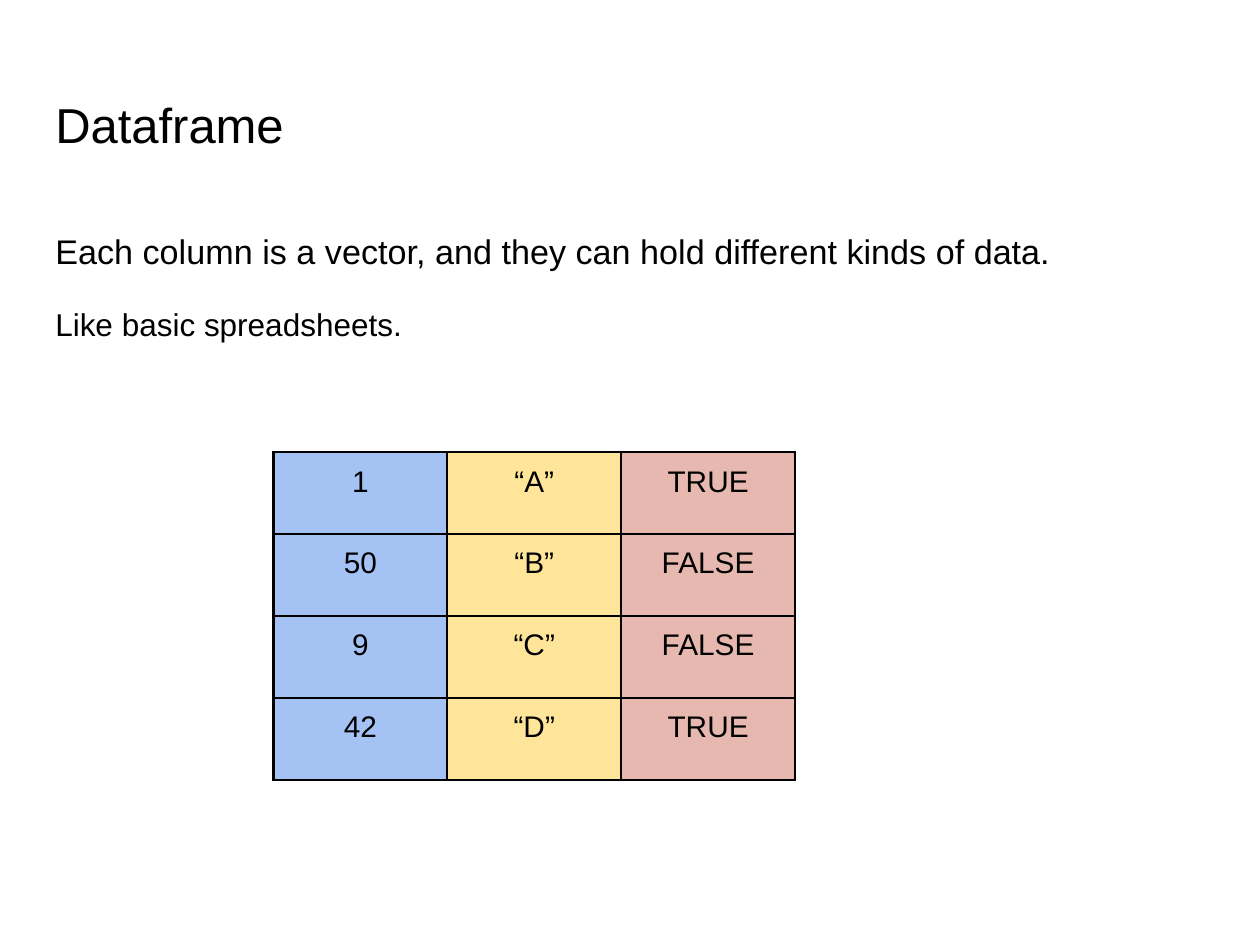
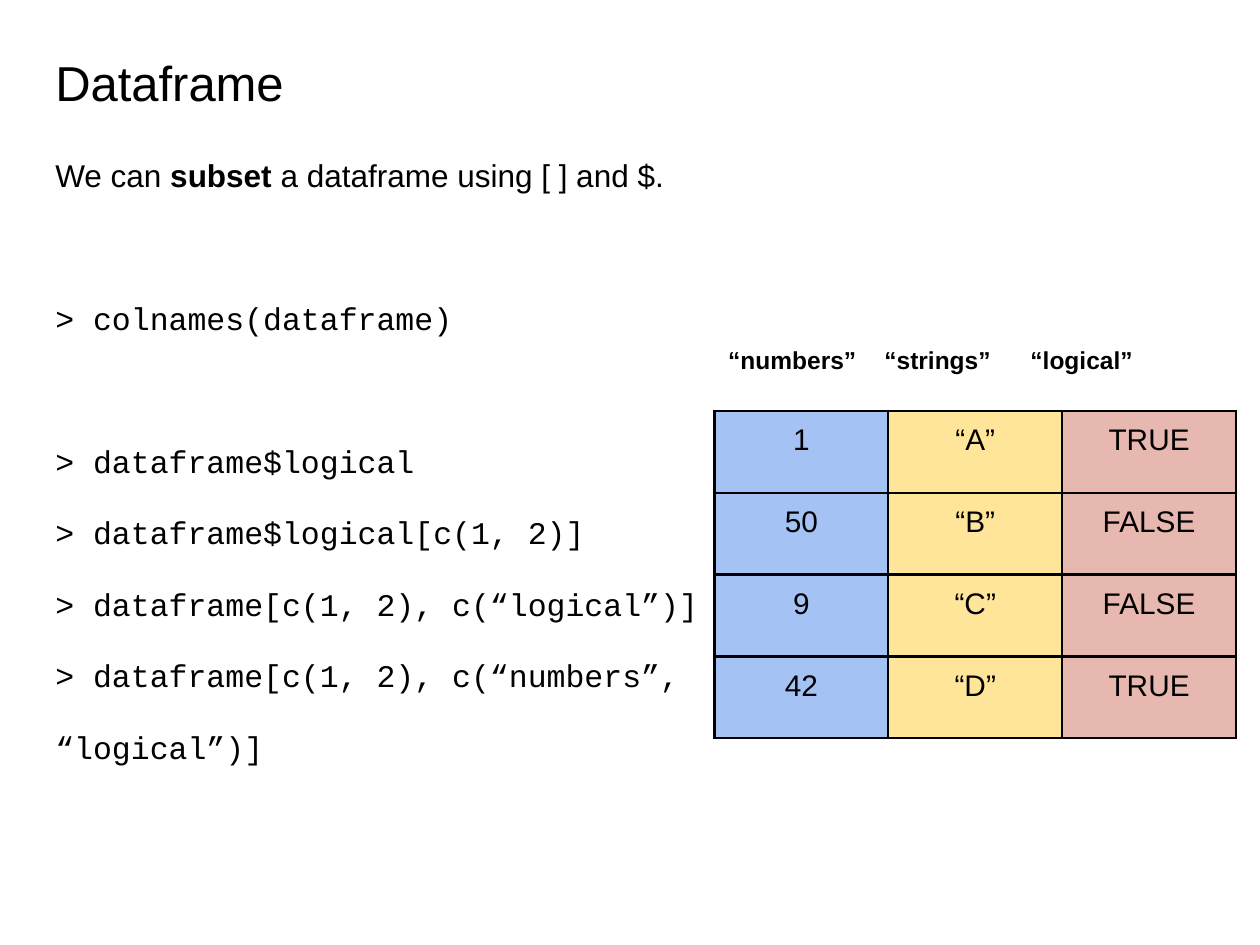
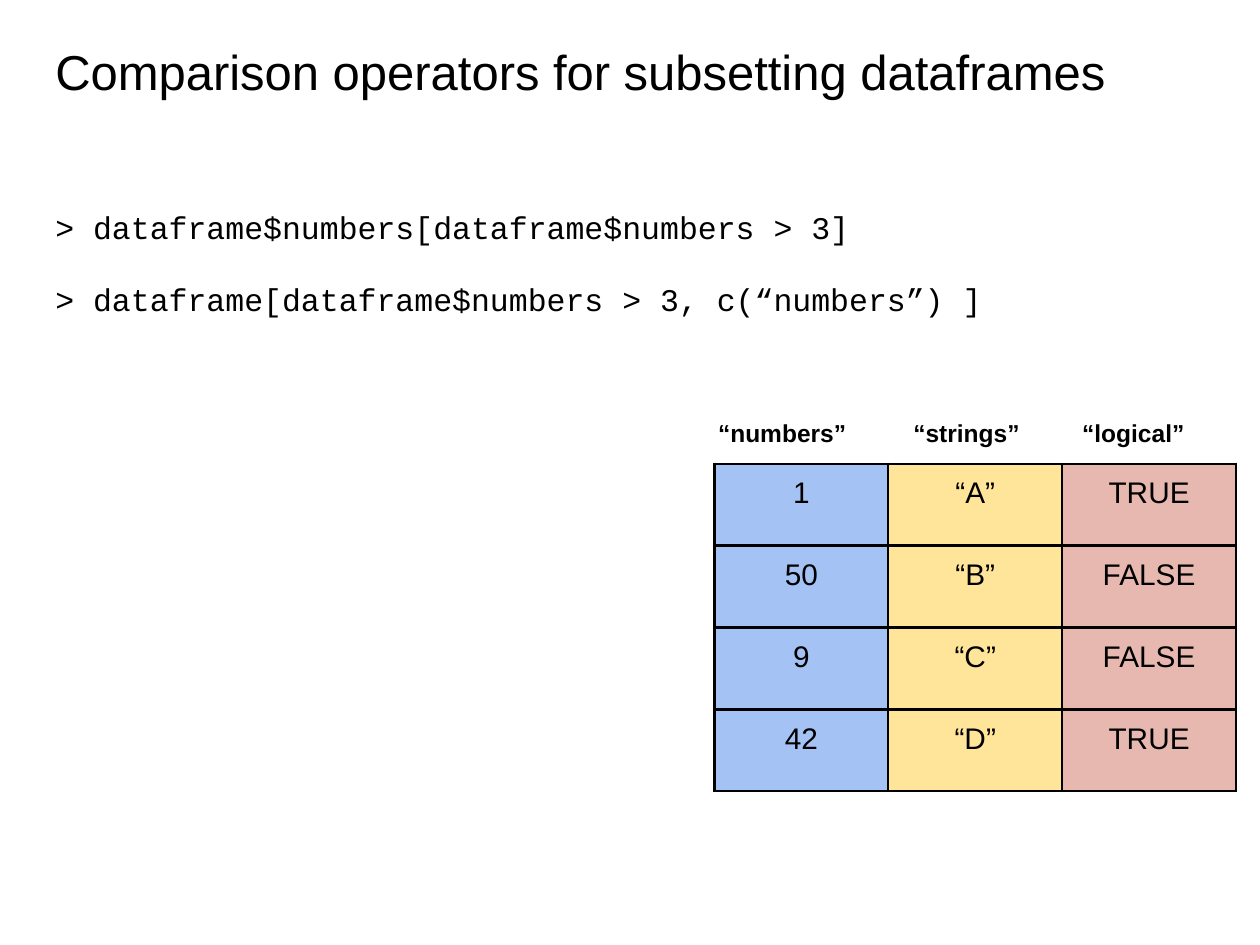
"""Build three slides that introduce dataframes and ways of subsetting them."""
from lxml.etree import SubElement
from pptx import Presentation
from pptx.dml.color import RGBColor
from pptx.enum.text import MSO_ANCHOR, PP_ALIGN
from pptx.oxml import parse_xml
from pptx.oxml.ns import nsdecls, qn
from pptx.util import Inches, Pt

BLACK = RGBColor(0x00, 0x00, 0x00)
WHITE = RGBColor(0xFF, 0xFF, 0xFF)
BLUE = RGBColor(0xA4, 0xC2, 0xF4)
YELLOW = RGBColor(0xFF, 0xE5, 0x99)
PINK = RGBColor(0xE6, 0xB8, 0xAF)
COLUMN_FILLS = (BLUE, YELLOW, PINK)

SANS, MONO = "Arial", "Courier New"
TITLE_SIZE, BODY_SIZE, CELL_SIZE, LABEL_SIZE = 28, 18, 17, 14
LINE_SPACING, GAP = 1.15, 16
SECTION_GAP = GAP + 41

SLIDE_WIDTH, SLIDE_HEIGHT = 10, 7.5
MARGIN, INSET = 0.34, 0.1
CONTENT_WIDTH = SLIDE_WIDTH - 2 * MARGIN
TITLE_HEIGHT, LABEL_HEIGHT = 0.83, 0.44
COLUMN_WIDTH, ROW_HEIGHT = 1.38, 0.65

DATAFRAME = [
    ("1", "“A”", "TRUE"),
    ("50", "“B”", "FALSE"),
    ("9", "“C”", "FALSE"),
    ("42", "“D”", "TRUE"),
]
COLUMN_NAMES = ("“numbers”", "“strings”", "“logical”")


def prose(text, size=BODY_SIZE, bold=False):
    return text, SANS, size, bold


def code(text):
    return text, MONO, BODY_SIZE, False


SLIDES = [
    {
        "title": ("Dataframe", 0.65),
        "body_box": (1.68, 4.98),
        "body": [
            (0, [prose("Each column is a vector, and they can hold different kinds of data.", 19.5)]),
            (GAP, [prose("Like basic spreadsheets.")]),
        ],
        "table_at": (2.17, 3.59),
    },
    {
        "title": ("Dataframe", 0.32),
        "body_box": (1.09, 5.82),
        "body": [
            (0, [prose("We can "), prose("subset", bold=True),
                 prose(" a dataframe using [ ] and $.")]),
            (SECTION_GAP, [code("> colnames(dataframe)")]),
            (SECTION_GAP, [code("> dataframe$logical")]),
            (GAP, [code("> dataframe$logical[c(1, 2)]")]),
            (GAP, [code("> dataframe[c(1, 2), c(“logical”)]")]),
            (GAP, [code("> dataframe[c(1, 2), c(“numbers”,")]),
            (GAP, [code("“logical”)]")]),
        ],
        "labels": {"box": (5.68, 2.64, 4.65), "tabs": (1.24, 2.4)},
        "table_at": (5.67, 3.26),
    },
    {
        "title": ("Comparison operators for subsetting dataframes", 0.23),
        "body_box": (1.51, 2.18),
        "body": [
            (0, [code("> dataframe$numbers[dataframe$numbers > 3]")]),
            (GAP, [code("> dataframe[dataframe$numbers > 3, c(“numbers”) ]")]),
        ],
        "labels": {"box": (5.6, 3.22, 4.75), "tabs": (1.55, 2.89)},
        "table_at": (5.67, 3.68),
    },
]


def set_insets(target):
    target.margin_left = target.margin_right = Inches(INSET)
    target.margin_top = target.margin_bottom = Inches(INSET)
    target.vertical_anchor = MSO_ANCHOR.TOP


def add_run(paragraph, text, font, size, bold=False):
    run = paragraph.add_run()
    run.text = text
    run.font.name = font
    run.font.size = Pt(size)
    run.font.bold = bold
    run.font.color.rgb = BLACK


def add_text(slide, left, top, width, height, paragraphs, line_spacing=None):
    box = slide.shapes.add_textbox(Inches(left), Inches(top), Inches(width), Inches(height))
    frame = box.text_frame
    frame.word_wrap = True
    set_insets(frame)
    for index, (space_before, runs) in enumerate(paragraphs):
        paragraph = frame.add_paragraph() if index else frame.paragraphs[0]
        paragraph.space_before = Pt(space_before)
        if line_spacing:
            paragraph.line_spacing = line_spacing
        for run in runs:
            add_run(paragraph, *run)
    return frame


def add_labels(slide, box, tabs):
    runs = [prose("\t".join(COLUMN_NAMES), LABEL_SIZE, True)]
    frame = add_text(slide, *box, LABEL_HEIGHT, [(0, runs)])
    properties = frame.paragraphs[0]._p.get_or_add_pPr()
    tab_list = SubElement(properties, qn("a:tabLst"))
    for position in tabs:
        SubElement(tab_list, qn("a:tab"), pos=str(Inches(position)), algn="l")


def add_borders(cell):
    properties = cell._tc.get_or_add_tcPr()
    for index, side in enumerate(("lnL", "lnR", "lnT", "lnB")):
        properties.insert(index, parse_xml(
            f'<a:{side} {nsdecls("a")} w="{Pt(1.5)}"><a:solidFill>'
            f'<a:srgbClr val="{BLACK}"/></a:solidFill></a:{side}>'))


def add_dataframe(slide, left, top):
    rows, columns = len(DATAFRAME), len(COLUMN_FILLS)
    table = slide.shapes.add_table(
        rows, columns, Inches(left), Inches(top),
        Inches(columns * COLUMN_WIDTH), Inches(rows * ROW_HEIGHT)).table
    table.first_row = table.horz_banding = False
    for row, values in enumerate(DATAFRAME):
        for column, value in enumerate(values):
            cell = table.cell(row, column)
            cell.fill.solid()
            cell.fill.fore_color.rgb = COLUMN_FILLS[column]
            set_insets(cell)
            add_borders(cell)
            paragraph = cell.text_frame.paragraphs[0]
            paragraph.alignment = PP_ALIGN.CENTER
            add_run(paragraph, value, SANS, CELL_SIZE)


def build_slide(presentation, content):
    slide = presentation.slides.add_slide(presentation.slide_layouts[6])
    slide.background.fill.solid()
    slide.background.fill.fore_color.rgb = WHITE
    title, title_top = content["title"]
    add_text(slide, MARGIN, title_top, CONTENT_WIDTH, TITLE_HEIGHT,
             [(0, [prose(title, TITLE_SIZE)])])
    body_top, body_height = content["body_box"]
    add_text(slide, MARGIN, body_top, CONTENT_WIDTH, body_height,
             content["body"], LINE_SPACING)
    if "labels" in content:
        add_labels(slide, **content["labels"])
    add_dataframe(slide, *content["table_at"])


def main():
    presentation = Presentation()
    presentation.slide_width = Inches(SLIDE_WIDTH)
    presentation.slide_height = Inches(SLIDE_HEIGHT)
    for content in SLIDES:
        build_slide(presentation, content)
    presentation.save("out.pptx")


if __name__ == "__main__":
    main()
